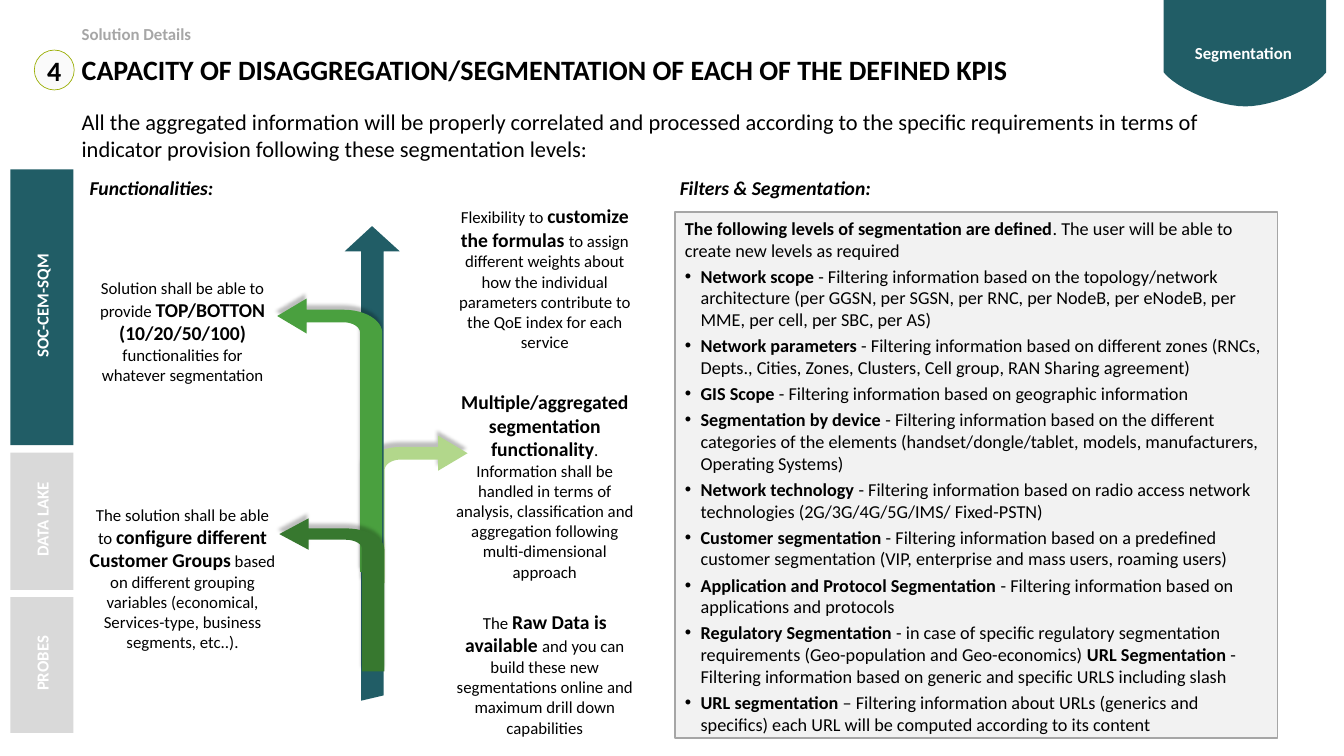
from lxml.etree import SubElement
from pptx import Presentation
from pptx.dml.color import RGBColor
from pptx.enum.shapes import MSO_SHAPE as SHAPE
from pptx.enum.text import MSO_ANCHOR as ANCHOR, PP_ALIGN as ALIGN
from pptx.oxml.ns import qn
from pptx.util import Pt

FONT = "Calibri"
BLACK, WHITE, GREY, TEAL = "000000", "FFFFFF", "A6A6A6", "215D66"

TABS = [("SOC-CEM-SQM", 394, TEAL), ("DATA LAKE", 196, "D9D9D9"), ("PROBES", 194, "D9D9D9")]

# left, top, runs; bold runs are set larger
CAPTIONS = [
    (638.5, 288, [("Flexibility to ", False), ("customize the formulas ", True),
                  ("to assign different weights about how the individual parameters "
                   "contribute to the QoE index for each service", False)]),
    (638.5, 553.5, [("Multiple/aggregated segmentation functionality", True),
                    (". Information shall be handled in terms of analysis, classification and "
                     "aggregation following multi-dimensional approach", False)]),
    (638.5, 867.5, [("The ", False), ("Raw Data is available ", True),
                    ("and you can build these new segmentations online and maximum "
                     "drill down capabilities", False)]),
    (121, 393, [("Solution shall be able to provide ", False), ("TOP/BOTTON (10/20/50/100) ", True),
                ("functionalities for whatever segmentation", False)]),
    (121, 717, [("The solution shall be able to ", False),
                ("configure different Customer Groups", True),
                (" based on different grouping variables (economical, Services-type, business "
                 "segments, etc..).", False)]),
]

INTRO = [("The following levels of segmentation are defined", True),
         (". The user will be able to create new levels as required", False)]

# alternating bold and regular runs
FILTERS = [
    ("Network scope ", "- Filtering information based on the topology/network architecture (per GGSN, "
     "per SGSN, per RNC, per NodeB, per eNodeB, per MME, per cell, per SBC, per AS)"),
    ("Network parameters ", "- Filtering information based on different zones (RNCs, Depts., Cities, "
     "Zones, Clusters, Cell group, RAN Sharing agreement)"),
    ("GIS Scope ", "- Filtering information based on geographic information"),
    ("Segmentation by device ", "- Filtering information based on the different categories of the "
     "elements (handset/dongle/tablet, models, manufacturers, Operating Systems)"),
    ("Network technology ", "- Filtering information based on radio access network technologies "
     "(2G/3G/4G/5G/IMS/ Fixed-PSTN)"),
    ("Customer segmentation ", "- Filtering information based on a predefined customer segmentation "
     "(VIP, enterprise and mass users, roaming users)"),
    ("Application and Protocol Segmentation ", "- Filtering information based on applications "
     "and protocols"),
    ("Regulatory Segmentation ", "- in case of specific regulatory segmentation requirements "
     "(Geo-population and Geo-economics) ", "URL Segmentation ",
     "- Filtering information based on generic and specific URLS including slash"),
    ("URL segmentation ", "– Filtering information about URLs (generics and specifics) each URL "
     "will be computed according to its content"),
]


def rgb(value):
    return RGBColor.from_string(value)


def add_run(p, text, size, color=BLACK, bold=False, italic=False):
    r = p.add_run()
    r.text = text
    f = r.font
    f.name, f.size, f.bold, f.italic = FONT, Pt(size), bold, italic
    f.color.rgb = rgb(color)


def set_frame(sp, insets=(7.2, 3.6, 7.2, 3.6), anchor=ANCHOR.TOP, wrap=True, align=ALIGN.LEFT):
    """Set up the text frame and return it with its first paragraph."""
    tf = sp.text_frame
    tf.word_wrap, tf.vertical_anchor = wrap, anchor
    tf.margin_left, tf.margin_top, tf.margin_right, tf.margin_bottom = map(Pt, insets)
    tf.paragraphs[0].alignment = align
    return tf, tf.paragraphs[0]


def add_box(s, x, y, w, h, **frame):
    sp = s.shapes.add_textbox(Pt(x), Pt(y), Pt(w), Pt(h))
    return set_frame(sp, **frame)[1]


def paint(sp, fill, line=None, width=1):
    sp.shadow.inherit = False
    sp.fill.solid()
    sp.fill.fore_color.rgb = rgb(fill)
    if line:
        sp.line.color.rgb = rgb(line)
        sp.line.width = Pt(width)
    else:
        sp.line.fill.background()


def add_shape(s, kind, x, y, w, h, fill, line=None, width=1):
    sp = s.shapes.add_shape(kind, Pt(x), Pt(y), Pt(w), Pt(h))
    paint(sp, fill, line, width)
    return sp


def add_outline(s, points, fill):
    (x, y), *rest = [(Pt(px), Pt(py)) for px, py in points]
    fb = s.shapes.build_freeform(x, y)
    fb.add_line_segments(rest, close=True)
    sp = fb.convert_to_shape()
    paint(sp, fill)
    return sp


def curve(a, b, c, d, steps=12):
    """Points along a cubic Bezier curve."""
    ts = [i / steps for i in range(steps + 1)]
    return [tuple((1 - t) ** 3 * p + 3 * t * (1 - t) ** 2 * q + 3 * t * t * (1 - t) * u + t ** 3 * v
                  for p, q, u, v in zip(a, b, c, d)) for t in ts]


def elbow(x0, y0, x1, y1):
    """Quarter ellipse that leaves level and arrives upright."""
    k = 0.55
    return curve((x0, y0), (x0 + k * (x1 - x0), y0), (x1, y1 - k * (y1 - y0)), (x1, y1))


def add_soft_shadow(sp):
    effects = sp._element.spPr.find(qn("a:effectLst"))
    shadow = SubElement(effects, qn("a:outerShdw"), blurRad=str(Pt(5)), dist=str(Pt(7)),
                        dir=str(250 * 60000), algn="ctr", rotWithShape="0")
    color = SubElement(shadow, qn("a:srgbClr"), val=BLACK)
    SubElement(color, qn("a:alpha"), val="25000")


def add_bent_arrow(s, tip_x, tip_y, side, foot_in, foot_out, fill, squash=1):
    """Arrow rising from its foot and bending to the left (side 1) or right (side -1)."""
    bend = 24 * squash
    inner = elbow(95, 9 * squash, 118.5, bend)
    outer = elbow(95, -9 * squash, 150, bend)
    outline = [(0, 0), (42, 25 * squash), (42, 9 * squash), *inner,
               (118.5, foot_in - tip_y), (150, foot_out - tip_y), *reversed(outer),
               (42, -9 * squash), (42, -25 * squash)]
    sp = add_outline(s, [(tip_x + side * dx, tip_y + dy) for dx, dy in outline], fill)
    add_soft_shadow(sp)


def add_arrows(s):
    add_bent_arrow(s, 668, 647.5, -1, 833, 833, "B2D78B")
    add_outline(s, [(571, 359), (531.5, 323), (492.5, 359), (516, 359), (516, 1001),
                    (548, 993.5), (548, 359)], TEAL)
    add_bent_arrow(s, 396, 451.5, 1, 817, 822, "4AA03F")
    add_bent_arrow(s, 399, 763, 1, 959, 959, "37782F", squash=0.9)


def add_corner_tag(s):
    left, mid, right, side, low = 1662.5, 1779, 1894.5, 103.5, 152
    right_half = curve((right, side), (1875.5, 127.5), (1818, low), (mid, low))
    left_half = curve((mid, low), (1741, low), (1682, 127.5), (left, side))
    add_outline(s, [(left, 0), (right, 0), *right_half, *left_half[1:]], TEAL)
    p = add_box(s, 1632.5, 22, 287.5, 106, anchor=ANCHOR.MIDDLE, align=ALIGN.CENTER)
    add_run(p, "Segmentation", 24, WHITE, bold=True)


def add_side_tabs(s):
    top, center, width, gap = 242, 60, 90, 10.5
    for name, length, fill in TABS:
        sp = add_shape(s, SHAPE.RECTANGLE, center - length / 2, top + (length - width) / 2,
                       length, width, fill)
        sp.rotation = 270
        p = set_frame(sp, (11.5, 3.6, 7.2, 3.6), ANCHOR.MIDDLE, align=ALIGN.CENTER)[1]
        add_run(p, name, 24, WHITE, bold=True)
        top += length + gap


def add_filter_panel(s):
    sp = add_shape(s, SHAPE.RECTANGLE, 964, 303, 861, 751, "F2F2F2", GREY, 2.25)
    tf, p = set_frame(sp, (14.4, 7, 11.5, 3.6))
    for text, bold in INTRO:
        add_run(p, text, 26, bold=bold)
    for runs in FILTERS:
        p = tf.add_paragraph()
        p.alignment = ALIGN.LEFT
        p.space_before = Pt(6)
        pPr = p._p.get_or_add_pPr()
        pPr.set("marL", str(Pt(22.5)))
        pPr.set("indent", str(Pt(-22.5)))
        SubElement(pPr, qn("a:buFont"), typeface="Arial")
        SubElement(pPr, qn("a:buChar"), char="•")
        for i, text in enumerate(runs):
            add_run(p, text, 26, bold=i % 2 == 0)


def add_header(s):
    title = s.shapes.title
    title.left, title.top, title.width, title.height = Pt(109.5), Pt(68.5), Pt(1482.5), Pt(112)
    p = set_frame(title, (7.2,) * 4)[1]
    add_run(p, "CAPACITY OF DISAGGREGATION/SEGMENTATION OF EACH OF THE DEFINED KPIS", 40, bold=True)
    p = add_box(s, 109.5, 26, 780, 39.5, insets=(7.2,) * 4)
    add_run(p, "Solution Details", 24, GREY, bold=True)
    badge = add_shape(s, SHAPE.OVAL, 49, 71.5, 57, 57, "FAFAFA", "9AAE04")
    p = set_frame(badge, anchor=ANCHOR.MIDDLE, wrap=False, align=ALIGN.CENTER)[1]
    add_run(p, "4", 40, bold=True)
    p = add_box(s, 109.5, 151, 1699, 124)
    add_run(p, "All the aggregated information will be properly correlated and processed according to "
            "the specific requirements in terms of indicator provision following these segmentation "
            "levels:", 32)


def main():
    prs = Presentation()
    prs.slide_width, prs.slide_height = Pt(1920), Pt(1080)
    s = prs.slides.add_slide(prs.slide_layouts[5])
    add_corner_tag(s)
    add_header(s)
    add_side_tabs(s)
    for x, heading in [(121, "Functionalities:"), (964, "Filters & Segmentation:")]:
        add_run(add_box(s, x, 247.5, 334, 41), heading, 28, bold=True, italic=True)
    add_arrows(s)
    for x, y, runs in CAPTIONS:
        p = add_box(s, x, y, 279.5, 181.5, align=ALIGN.CENTER)
        for text, bold in runs:
            add_run(p, text, 28 if bold else 24, bold=bold)
    add_filter_panel(s)
    prs.save("out.pptx")


if __name__ == "__main__":
    main()
